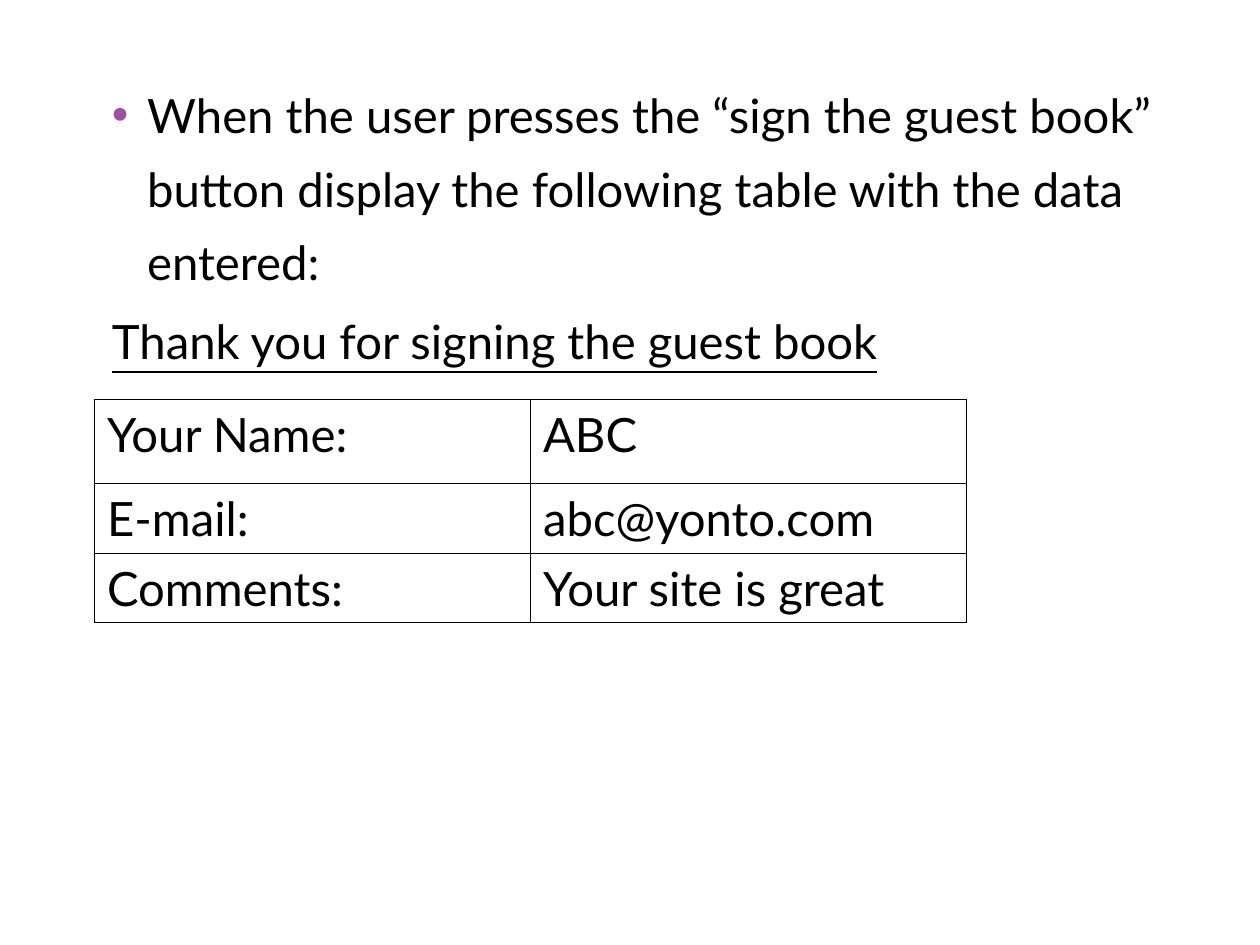
from lxml import etree
from pptx import Presentation
from pptx import util as u
from pptx.dml.color import RGBColor
from pptx.enum import text
from pptx.oxml import ns

BLACK = RGBColor(0x00, 0x00, 0x00)
PURPLE = RGBColor(0xA0, 0x4D, 0xA3)
FONT = {"name": "Lato", "size": u.Pt(27), "bold": False}
THICK, THIN = u.Pt(1.08), u.Pt(0.45)

INTRO = ("When the user presses the “sign the guest book” button display "
         "the following table with the data entered:")
THANKS = "Thank you for signing the guest book"
ENTRIES = [("Your Name:", "ABC"),
           ("E-mail:", "abc@yonto.com"),
           ("Comments:", "Your site is great")]
ROW_HEIGHTS = [0.67, 0.55, 0.55]
COLUMN_WIDTH = 3.46


def apply(target, values):
    for name, value in values.items():
        setattr(target, name, value)


def add_run(paragraph, words, **extra):
    run = paragraph.add_run()
    run.text = words
    apply(run.font, {**FONT, **extra})
    run.font.color.rgb = BLACK


def add_child(parent, tag, **attributes):
    return etree.SubElement(parent, ns.qn(tag), attributes)


def format_body(paragraph, bullet=None):
    """Hanging indent, wide lines and an optional coloured bullet."""
    apply(paragraph, {"line_spacing": 1.3, "space_before": u.Pt(3)})
    properties = paragraph._p.get_or_add_pPr()
    properties.set("marL", str(u.Inches(0.4)))
    properties.set("indent", str(u.Inches(-0.28)))
    if bullet:
        colour = add_child(properties, "a:buClr")
        add_child(colour, "a:srgbClr", val=str(PURPLE))
        add_child(properties, "a:buFont", typeface="Arial")
        add_child(properties, "a:buChar", char=bullet)
    else:
        add_child(properties, "a:buNone")


def add_body(slide):
    box = slide.shapes.add_textbox(*map(u.Inches, (0.67, 0.5, 8.83, 3.17)))
    frame = box.text_frame
    apply(frame, {"word_wrap": True, "auto_size": text.MSO_AUTO_SIZE.NONE,
                  "vertical_anchor": text.MSO_ANCHOR.TOP})
    intro, thanks = frame.paragraphs[0], frame.add_paragraph()
    format_body(intro, bullet="•")
    add_run(intro, INTRO)
    format_body(thanks)
    add_run(thanks, THANKS, underline=True)


def set_borders(cell, widths):
    properties = cell._tc.get_or_add_tcPr()
    for side, width in widths.items():
        line = add_child(properties, f"a:ln{side}", w=str(width))
        fill = add_child(line, "a:solidFill")
        add_child(fill, "a:srgbClr", val=str(BLACK))


def add_guest_table(slide):
    rows, columns = len(ENTRIES), len(ENTRIES[0])
    size = (COLUMN_WIDTH * columns, sum(ROW_HEIGHTS))
    table = slide.shapes.add_table(
        rows, columns, *map(u.Inches, (0.75, 3.17, *size))).table
    apply(table, {"first_row": False, "horz_banding": False})
    for column in table.columns:
        column.width = u.Inches(COLUMN_WIDTH)
    for i, entry in enumerate(ENTRIES):
        table.rows[i].height = u.Inches(ROW_HEIGHTS[i])
        for j, words in enumerate(entry):
            cell = table.cell(i, j)
            paragraph = cell.text_frame.paragraphs[0]
            paragraph.space_before = u.Pt(6.8)
            add_run(paragraph, words)
            # Thick lines outside, thin lines inside
            outer = {"L": j == 0, "R": j == columns - 1,
                     "T": i == 0, "B": i == rows - 1}
            set_borders(cell, {side: THICK if edge else THIN
                               for side, edge in outer.items()})
            cell.fill.background()


def main():
    presentation = Presentation()
    apply(presentation, {"slide_width": u.Inches(10),
                         "slide_height": u.Inches(7.5)})
    slide = presentation.slides.add_slide(presentation.slide_layouts[6])
    add_body(slide)
    add_guest_table(slide)
    presentation.save("out.pptx")


if __name__ == "__main__":
    main()
